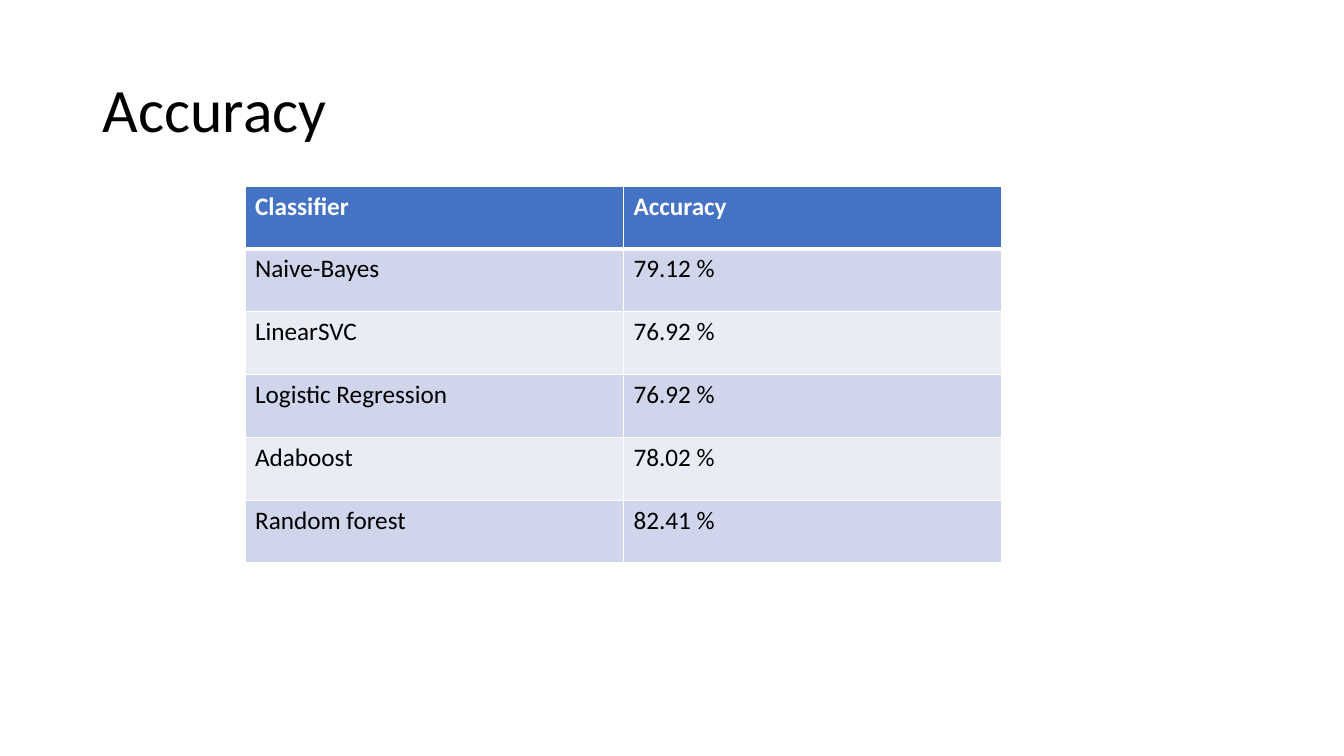
from dataclasses import dataclass

from lxml import etree
from pptx import Presentation
from pptx.dml.color import RGBColor
from pptx.enum.text import MSO_ANCHOR
from pptx.oxml.ns import qn
from pptx.util import Pt

MIDDLE = MSO_ANCHOR.MIDDLE
PX = 914400 / 100.8


@dataclass(frozen=True)
class Theme:
    font: str = "Calibri"
    title_size: int = 44
    cell_size: int = 18
    text: str = "000000"
    white: str = "FFFFFF"
    header: str = "4472C4"
    bands: tuple = ("CFD5EA", "E9EBF5")


theme = Theme()


def px(n):
    return round(n * PX)


def style(p, size, color, bold=False):
    p.font.name = theme.font
    p.font.size = Pt(size)
    p.font.bold = bold
    p.font.color.rgb = RGBColor.from_string(color)


prs = Presentation()
prs.slide_width, prs.slide_height = px(1344), px(756)
s = prs.slides.add_slide(prs.slide_layouts[6])

# Title
tf = s.shapes.add_textbox(px(93), px(40), px(1159), px(146)).text_frame
tf.word_wrap = True
tf.vertical_anchor = MIDDLE
p = tf.paragraphs[0]
p.text = "Accuracy"
p.line_spacing = 0.9
style(p, theme.title_size, theme.text)

# Accuracy table: equal columns and rows
rows = [
    ("Classifier", "Accuracy"),
    ("Naive-Bayes", "79.12 %"),
    ("LinearSVC", "76.92 %"),
    ("Logistic Regression", "76.92 %"),
    ("Adaboost", "78.02 %"),
    ("Random forest", "82.41 %"),
]
table = s.shapes.add_table(len(rows), 2, px(245), px(186), px(757), px(377)).table

for i, row in enumerate(rows):
    is_header = i == 0
    for j, value in enumerate(row):
        cell = table.cell(i, j)
        cell.text = value
        style(cell.text_frame.paragraphs[0], theme.cell_size,
              theme.white if is_header else theme.text, is_header)

        # White borders, thicker between the header and the body
        tcPr = cell._tc.get_or_add_tcPr()
        for side in ("L", "R", "T", "B"):
            thick = (i, side) in ((0, "B"), (1, "T"))
            ln = etree.SubElement(tcPr, qn(f"a:ln{side}"), w=str(Pt(3 if thick else 1)))
            fill = etree.SubElement(ln, qn("a:solidFill"))
            etree.SubElement(fill, qn("a:srgbClr"), val=theme.white)

        # Header fill, then alternating bands
        cell.fill.solid()
        cell.fill.fore_color.rgb = RGBColor.from_string(
            theme.header if is_header else theme.bands[(i - 1) % 2])

prs.save("out.pptx")
